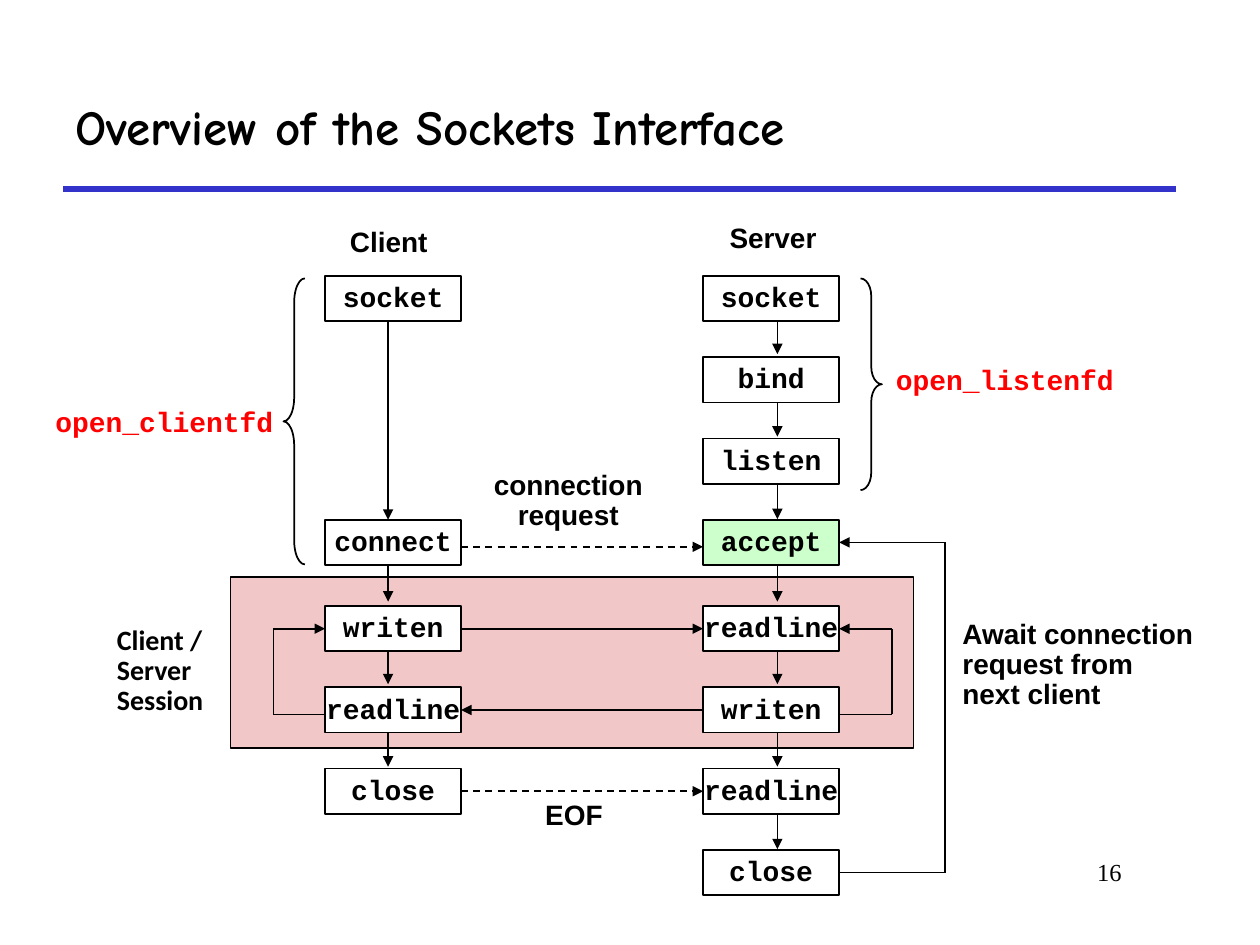
from lxml import etree
from pptx import Presentation
from pptx.dml.color import RGBColor
from pptx.enum.dml import MSO_LINE
from pptx.enum.shapes import MSO_CONNECTOR, MSO_SHAPE
from pptx.enum.text import MSO_ANCHOR, PP_ALIGN
from pptx.oxml.ns import qn
from pptx.util import Inches, Pt

BLACK = RGBColor(0x00, 0x00, 0x00)
WHITE = RGBColor(0xFF, 0xFF, 0xFF)
RED = RGBColor(0xFF, 0x00, 0x00)
BLUE = RGBColor(0x33, 0x33, 0xCC)
PINK = RGBColor(0xF1, 0xC7, 0xC7)
GREEN = RGBColor(0xCC, 0xFF, 0xCC)

STRAIGHT = MSO_CONNECTOR.STRAIGHT
DASH = MSO_LINE.DASH
MIDDLE = MSO_ANCHOR.MIDDLE
LEFT, CENTER, RIGHT = PP_ALIGN.LEFT, PP_ALIGN.CENTER, PP_ALIGN.RIGHT
LEFT_SIDE, RIGHT_SIDE = 1, 3

# Grid: two columns of boxes, rows at an equal pitch, a small gap before the session
CLIENT_X, SERVER_X = 2.58, 5.58
BOX_WIDTH, BOX_HEIGHT = 1.08, 0.36
ROW_PITCH = 0.645
ROW_TOPS = [2.19 + ROW_PITCH * row + (0.04 if row >= 4 else 0) for row in range(8)]
ROW_MIDDLES = [top + BOX_HEIGHT / 2 for top in ROW_TOPS]
ARROW_TOP, ARROW_PITCH, ARROW_LENGTH = 2.52, 0.655, 0.29

presentation = Presentation()
presentation.slide_width = Inches(10)
presentation.slide_height = Inches(7.5)
slide = presentation.slides.add_slide(presentation.slide_layouts[5])


def add_line(start, end, arrow=True, color=BLACK, width=1):
    connector = slide.shapes.add_connector(STRAIGHT, *map(Inches, start + end))
    connector.line.color.rgb = color
    connector.line.width = Pt(width)
    if arrow:
        etree.SubElement(connector.line._get_or_add_ln(), qn("a:tailEnd"), type="triangle")
    etree.SubElement(connector._element.spPr, qn("a:effectLst"))
    return connector


def write_text(shape, text, font="Arial", color=BLACK, align=CENTER, wrap=False):
    text_frame = shape.text_frame
    text_frame.text = text
    text_frame.word_wrap = wrap
    text_frame.vertical_anchor = MIDDLE
    for paragraph in text_frame.paragraphs:
        paragraph.alignment = align
        paragraph.line_spacing = 0.9
        paragraph.font.name = font
        paragraph.font.size = Pt(16)
        paragraph.font.bold = True
        paragraph.font.color.rgb = color


# Title and rule
title = slide.shapes.title
title.left, title.top, title.width, title.height = map(Inches, (0.5, 0.5, 8.83, 1))
title.text_frame.text = "Overview of the Sockets Interface"
title.text_frame.vertical_anchor = MIDDLE
title_paragraph = title.text_frame.paragraphs[0]
title_paragraph.alignment = LEFT
title_paragraph.font.name = "Comic Neue"
title_paragraph.font.size = Pt(28)
title_paragraph.font.bold = True
title_paragraph.font.color.rgb = BLACK
add_line((0.5, 1.5), (9.33, 1.5), arrow=False, color=BLUE, width=3)

# Session area
session = slide.shapes.add_shape(MSO_SHAPE.RECTANGLE, *map(Inches, (1.83, 4.58, 5.42, 1.36)))
session.shadow.inherit = False
session.fill.solid()
session.fill.fore_color.rgb = PINK
session.line.color.rgb = BLACK
session.line.width = Pt(1)

# Downward arrows, placed under the boxes
for x, rows in ((3.08, (3, 4, 5)), (6.17, range(7))):
    for row in rows:
        top = ARROW_TOP + ARROW_PITCH * row
        add_line((x, top), (x, top + ARROW_LENGTH))
add_line((3.08, ARROW_TOP), (3.08, ROW_TOPS[3]))

# Function boxes
client_calls = {0: "socket", 3: "connect", 4: "writen", 5: "readline", 6: "close"}
server_calls = dict(enumerate(
    ["socket", "bind", "listen", "accept", "readline", "writen", "readline", "close"]))
client_boxes, server_boxes = {}, {}
for x, calls, boxes in ((CLIENT_X, client_calls, client_boxes),
                        (SERVER_X, server_calls, server_boxes)):
    for row, call in calls.items():
        box = slide.shapes.add_shape(
            MSO_SHAPE.RECTANGLE, *map(Inches, (x, ROW_TOPS[row], BOX_WIDTH, BOX_HEIGHT)))
        box.shadow.inherit = False
        box.fill.solid()
        box.fill.fore_color.rgb = GREEN if call == "accept" else WHITE
        box.line.color.rgb = BLACK
        box.line.width = Pt(1)
        write_text(box, call, "Courier New")
        boxes[row] = box

# Messages between client and server
client_edge = CLIENT_X + BOX_WIDTH
server_edge = SERVER_X + BOX_WIDTH
request = add_line((client_edge, 4.34), (SERVER_X, 4.34))
request.line.dash_style = DASH
for row in (4, 6):
    message = add_line((client_edge, ROW_MIDDLES[row]), (SERVER_X, ROW_MIDDLES[row]))
    message.begin_connect(client_boxes[row], RIGHT_SIDE)
    message.end_connect(server_boxes[row], LEFT_SIDE)
message.line.dash_style = DASH
reply = add_line((SERVER_X, ROW_MIDDLES[5]), (client_edge, ROW_MIDDLES[5]))
reply.begin_connect(server_boxes[5], LEFT_SIDE)
reply.end_connect(client_boxes[5], RIGHT_SIDE)

# Loops back to an earlier call: box edge, outer x, lower y, target box, side
loops = [
    (CLIENT_X, 2.17, 5.67, client_boxes, 4, LEFT_SIDE),
    (server_edge, 7.08, 5.67, server_boxes, 4, RIGHT_SIDE),
    (server_edge, 7.5, ROW_MIDDLES[7], server_boxes, 3, RIGHT_SIDE),
]
for edge, outer, lower, boxes, row, side in loops:
    upper = ROW_MIDDLES[row]
    exit_line = add_line((edge, lower), (outer, lower), arrow=False)
    add_line((outer, lower), (outer, upper), arrow=False)
    add_line((outer, upper), (edge, upper)).end_connect(boxes[row], side)
exit_line.begin_connect(server_boxes[7], RIGHT_SIDE)

# Braces; the curl is a twelfth of the height
for kind, x, height in ((MSO_SHAPE.LEFT_BRACE, 2.25, 2.27), (MSO_SHAPE.RIGHT_BRACE, 6.83, 1.68)):
    brace = slide.shapes.add_shape(kind, *map(Inches, (x, 2.21, 0.17, height)))
    brace.shadow.inherit = False
    brace.adjustments[0] = height / 12 / 0.17
    brace.fill.background()
    brace.line.color.rgb = BLACK
    brace.line.width = Pt(1)

# Labels: position, text, font, colour, alignment, wrapping
labels = [
    ((2.63, 1.76, 0.91, 0.34), "Client", "Arial", BLACK, CENTER, False),
    ((5.66, 1.73, 0.95, 0.34), "Server", "Arial", BLACK, CENTER, False),
    ((3.79, 3.69, 1.44, 0.58), "connection\nrequest", "Arial", BLACK, CENTER, False),
    ((4.18, 6.31, 0.75, 0.34), "EOF", "Arial", BLACK, CENTER, False),
    ((7.54, 4.87, 2.1, 0.82), "Await connection\nrequest from\nnext client",
     "Arial", BLACK, LEFT, False),
    ((0.83, 4.92, 0.92, 0.82), "Client / Server\nSession", "Calibri", BLACK, LEFT, True),
    ((0.34, 3.19, 1.93, 0.34), "open_clientfd", "Courier New", RED, CENTER, True),
    ((7.01, 2.86, 1.93, 0.34), "open_listenfd", "Courier New", RED, CENTER, True),
]
for position, *text_settings in labels:
    write_text(slide.shapes.add_textbox(*map(Inches, position)), *text_settings)

# Slide number
number = slide.shapes.add_textbox(*map(Inches, (7.58, 6.75, 1.42, 0.5)))
number.text_frame.text = "16"
number.text_frame.word_wrap = True
number_paragraph = number.text_frame.paragraphs[0]
number_paragraph.alignment = RIGHT
number_paragraph.font.name = "Times New Roman"
number_paragraph.font.size = Pt(14)
number_paragraph.font.color.rgb = BLACK

presentation.save("out.pptx")
